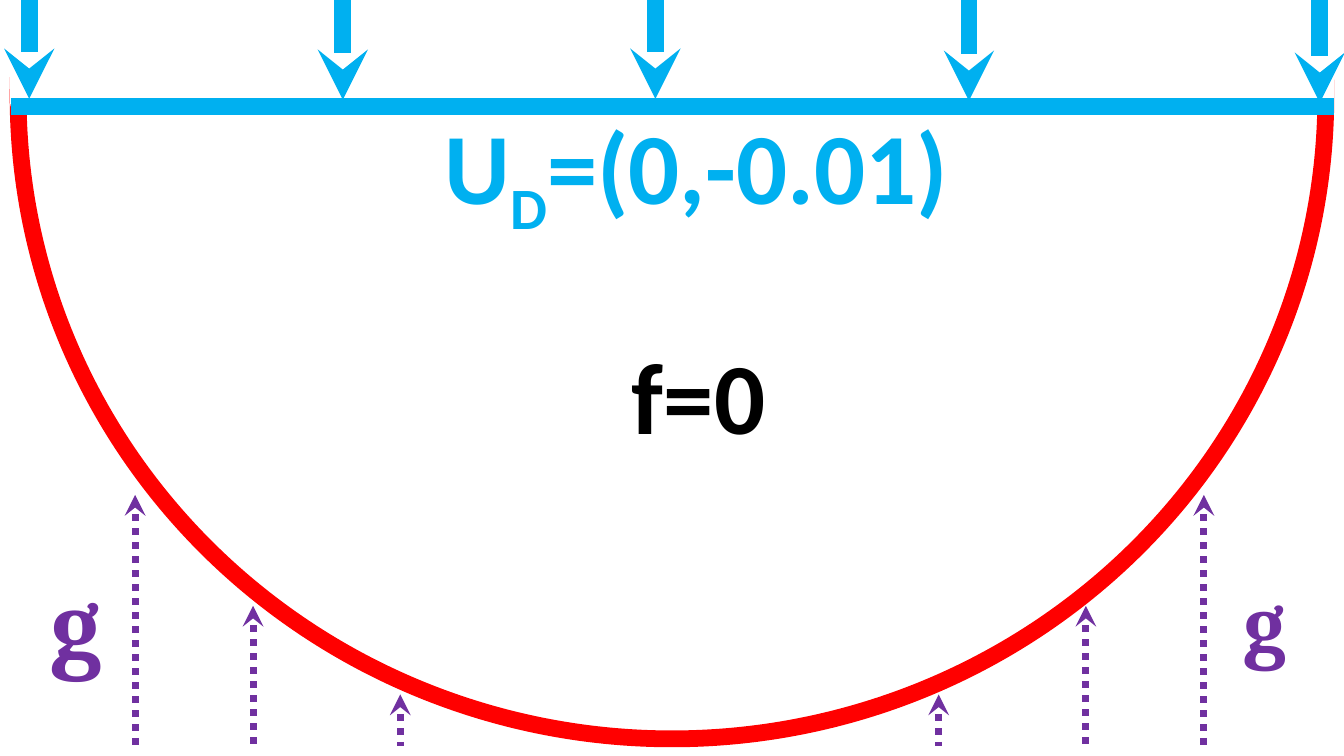
from lxml import etree
from pptx import Presentation
from pptx.dml.color import RGBColor
from pptx.enum.shapes import MSO_CONNECTOR, MSO_SHAPE
from pptx.oxml.ns import qn
from pptx.util import Inches, Pt

COLORS = {"load": "00B0F0", "wall": "FF0000", "traction": "7030A0",
          "body": "000000", "mask": "FFFFFF"}
THICK, THIN = 12, 5


def rgb(name):
    return RGBColor.from_string(COLORS[name])


def add_line(s, x1, y1, x2, y2, color, width, dash=None, head=None):
    sp = s.shapes.add_connector(
        MSO_CONNECTOR.STRAIGHT, Inches(x1), Inches(y1), Inches(x2), Inches(y2))
    sp.line.color.rgb = rgb(color)
    sp.line.width = Pt(width)
    ln = sp.line._ln
    if dash:
        etree.SubElement(ln, qn("a:prstDash")).set("val", dash)
    if head:
        etree.SubElement(ln, qn("a:headEnd")).set("type", head)
    etree.SubElement(sp._element.spPr, qn("a:effectLst"))


def add_outline(s, kind, x, y, w, h, color, fill=None):
    sp = s.shapes.add_shape(kind, Inches(x), Inches(y), Inches(w), Inches(h))
    sp.shadow.inherit = False
    sp.line.color.rgb = rgb(color)
    sp.line.width = Pt(THICK)
    if fill:
        sp.fill.solid()
        sp.fill.fore_color.rgb = rgb(fill)
    else:
        sp.fill.background()


def add_label(s, x, y, w, h, parts, size, font, color):
    tf = s.shapes.add_textbox(Inches(x), Inches(y), Inches(w), Inches(h)).text_frame
    tf.word_wrap = True
    p = tf.paragraphs[0]
    p.font.size, p.font.name, p.font.bold = Pt(size), font, True
    p.font.color.rgb = rgb(color)
    for text, baseline in parts:
        r = p.add_run()
        r.text = text
        if baseline:
            r._r.get_or_add_rPr().set("baseline", str(baseline))


def add_bowl(s, x, y, w, h):
    group = s.shapes.add_group_shape()
    add_outline(group, MSO_SHAPE.OVAL, x, y, w, h, "wall")
    add_outline(group, MSO_SHAPE.RECTANGLE, x, y - 2.58, w, 9.02, "mask", "mask")
    add_line(group, x - 0.07, y + 6.48, x + w + 0.08, y + 6.48, "load", THICK)


def add_top_load(s, x, y, h):
    tips = [(0.29, 0.98), (3.4, 0.99), (6.5, 0.98), (9.61, 1), (13.09, 1.02)]
    for dx, tip in tips:
        add_line(s, x + dx, y + tip, x + dx, y + tip - h, "load", THICK, head="stealth")
    add_label(s, x + 4.31, y + 0.98, 5.77, 1.31,
              [("U", None), ("D", -25000), ("=(0,-0.01)", None)], 72, "Calibri", "load")


def add_tractions(s, x, y, w, h):
    for inset, dy in [(0, 0), (1.17, 1.1), (2.63, 1.98)]:
        for cx in (x + inset, x + w - inset):
            add_line(s, cx, y + dy, cx, y + h, "traction", THIN, "sysDot", "stealth")
    for dx, dy, height, size in [(-0.94, 0.59, 1.31, 72), (w + 0.29, 0.69, 1.11, 60)]:
        add_label(s, x + dx, y + dy, 2.99, height, [("g", None)], size, "Cambria", "traction")


prs = Presentation()
prs.slide_width, prs.slide_height = Inches(13.33), Inches(7.5)
s = prs.slides.add_slide(prs.slide_layouts[6])
add_bowl(s, 0.18, -5.42, 12.97, 12.75)
add_top_load(s, 0, 0, 1.04)
add_tractions(s, 1.34, 4.91, 10.6, 2.49)
add_label(s, 6.17, 3.26, 5.77, 1.31, [("f=0", None)], 72, "Calibri", "body")
prs.save("out.pptx")
